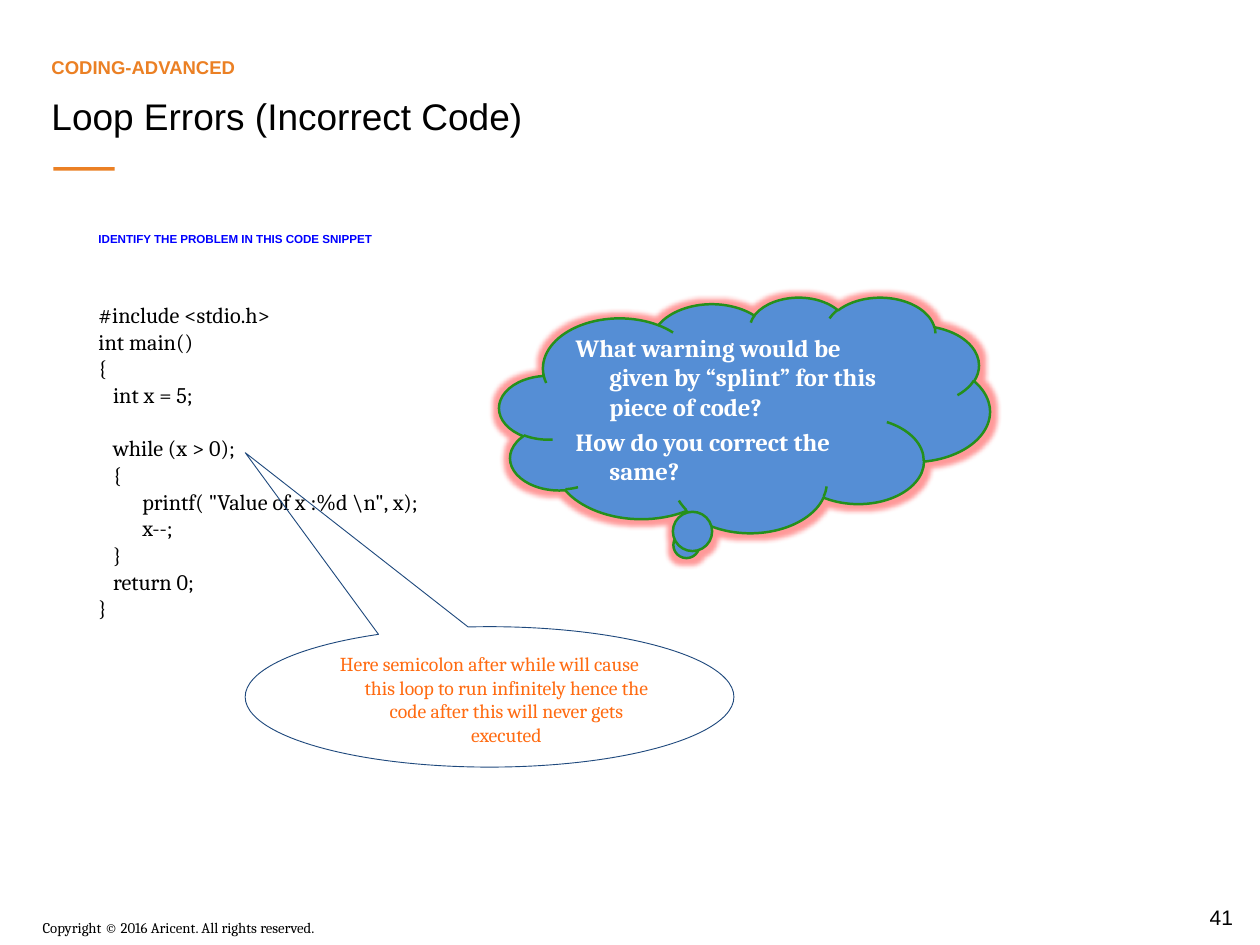
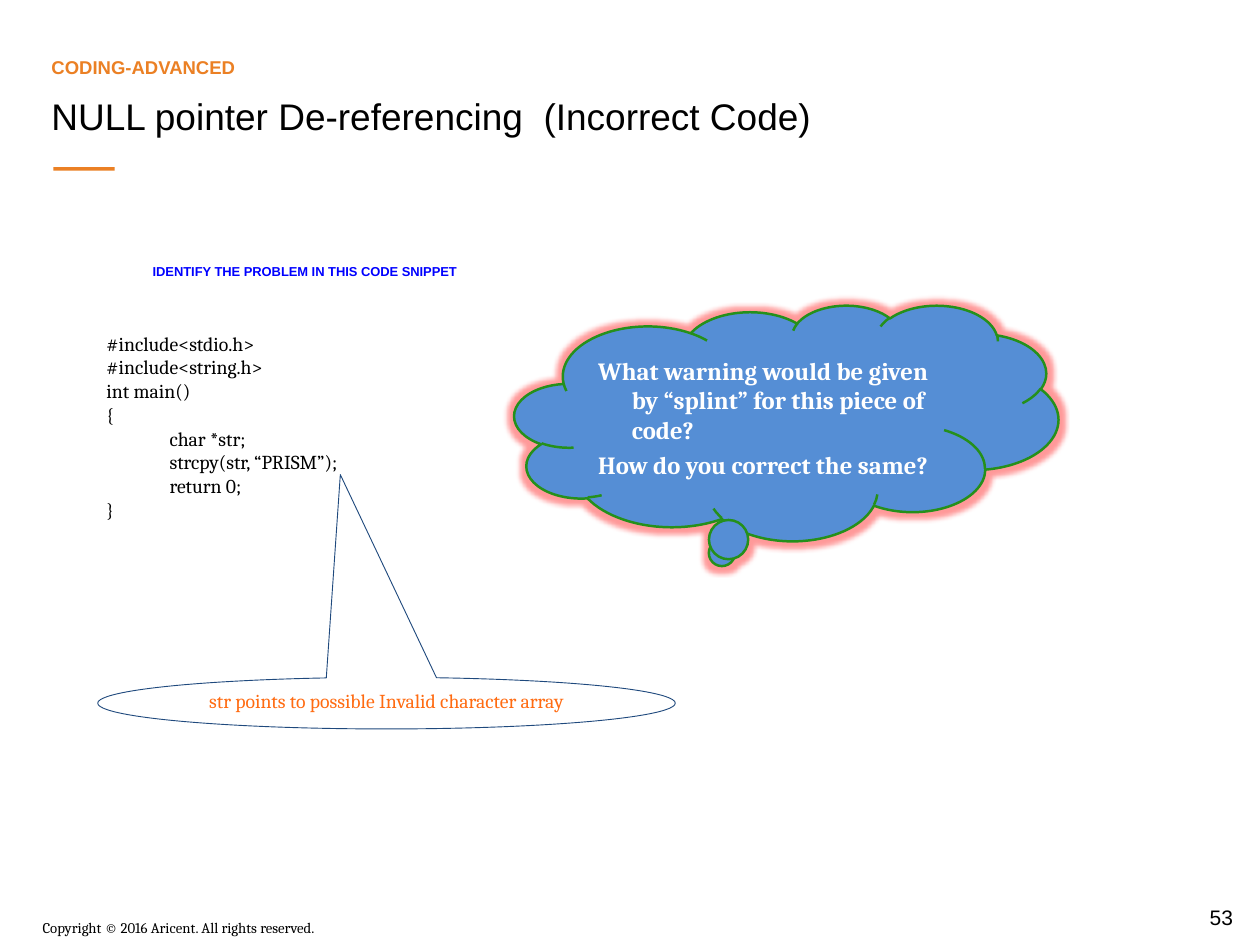
from dataclasses import dataclass

from lxml.etree import SubElement
from pptx import Presentation
from pptx.dml.color import RGBColor as Rgb
from pptx.enum.shapes import MSO_SHAPE as Kind
from pptx.enum.text import MSO_ANCHOR as Anchor, PP_ALIGN as Align
from pptx.oxml.ns import qn
from pptx.util import Emu, Inches, Pt

WIDE, HIGH = Inches(14.18), Inches(10.63)
HANG = Inches(0.38)
TAB = Inches(0.71)
HUES = {
    "black": "000000",
    "white": "FFFFFF",
    "brand": "EB8024",
    "ask": "0000FF",
    "note": "FF6B11",
    "edge": "1F497D",
    "cloud": "558ED5",
    "rim": "25901B",
    "glow": "FF0000",
}


@dataclass(frozen=True)
class Box:
    """Left, top, width and height in percent of the slide."""
    x: float
    y: float
    w: float
    h: float

    def place(self) -> tuple[Emu, Emu, Emu, Emu]:
        return (Emu(int(WIDE * self.x / 100)), Emu(int(HIGH * self.y / 100)),
                Emu(int(WIDE * self.w / 100)), Emu(int(HIGH * self.h / 100)))


@dataclass(frozen=True)
class Style:
    size: float
    hue: str = "black"
    face: str = "Cambria"
    bold: bool = False
    align: Align = Align.LEFT
    anchor: Anchor = Anchor.TOP
    gap: float = 0
    hang: bool = False
    tabs: bool = False


@dataclass(frozen=True)
class Bubble:
    kind: Kind
    box: Box
    tip: tuple[float, float]
    lines: list[str]
    style: Style
    edge: str
    width: float
    fill: str = ""
    glow: bool = False


@dataclass(frozen=True)
class Page:
    number: str
    title: str
    ask: Box
    ask_size: float
    code: Box
    code_size: float
    source: str
    note: Box
    note_tip: tuple[float, float]
    note_text: str
    cloud: Box


KICKER = Style(15, "brand", "Arial", True, anchor=Anchor.BOTTOM)
TITLE = Style(30, face="Arial")
NUMBER = Style(17, face="Arial", align=Align.CENTER, anchor=Anchor.MIDDLE)
FOOTER = Style(12)
NOTE = Style(16, "note", align=Align.CENTER, hang=True)
CLOUD = Style(20, "white", bold=True, anchor=Anchor.MIDDLE, gap=4, hang=True)
WARNING = ["What warning would be given by “splint” for this piece of code?",
           "How do you correct the same?"]

PAGES = [
    Page("41", "Loop Errors (Incorrect Code)",
         Box(7.12, 20.98, 55.36, 5.46), 9.4,
         Box(7.12, 31.42, 31.73, 34.81), 18,
         r"""#include <stdio.h>
int main()
{
   int x = 5;

   while (x > 0);
   {
         printf( "Value of x :%d \n", x);
         x--;
   }
   return 0;
}""",
         Box(19.46, 66.32, 38.79, 14.86), (-0.5, -1.74),
         "Here semicolon after while will cause this loop to run infinitely "
         "hence the code after this will never gets executed",
         Box(39.63, 31.42, 38.93, 24.93)),
    Page("53", "NULL pointer De-referencing  (Incorrect Code)",
         Box(11.42, 24.46, 59.59, 5.55), 10.5,
         Box(7.76, 34.62, 55.85, 24.84), 16,
         """#include<stdio.h>
#include<string.h>
int main()
{
\tchar *str;
\tstrcpy(str, “PRISM”);
\treturn 0;
}""",
         Box(7.76, 71.68, 45.84, 5.46), (-0.08, -4.43),
         "str points to possible Invalid character array",
         Box(40.83, 32.27, 43.16, 24.93)),
]


def tint(name: str) -> Rgb:
    return Rgb.from_string(HUES[name])


def write(frame, lines: list[str], style: Style) -> None:
    frame.word_wrap = True
    frame.vertical_anchor = style.anchor
    gap = 0.0
    first = True
    for line in lines:
        if not line:
            gap = style.size * 1.2
            continue
        para = frame.paragraphs[0] if first else frame.add_paragraph()
        para.text = line
        para.alignment = style.align
        para.space_before = Pt(gap)
        props = para._p.get_or_add_pPr()
        if style.hang:
            props.set("marL", str(HANG))
            props.set("indent", str(-HANG))
        if style.tabs:
            stops = SubElement(props, qn("a:tabLst"))
            SubElement(stops, qn("a:tab"), pos=str(TAB), algn="l")
        font = para.font
        font.size, font.name, font.bold = Pt(style.size), style.face, style.bold
        font.color.rgb = tint(style.hue)
        gap, first = style.gap, False


def label(slide, box: Box, lines: list[str], style: Style) -> None:
    write(slide.shapes.add_textbox(*box.place()).text_frame, lines, style)


def bubble(slide, item: Bubble) -> None:
    shape = slide.shapes.add_shape(item.kind, *item.box.place())
    shape.shadow.inherit = False
    for index, value in enumerate(item.tip):
        shape.adjustments[index] = value
    if item.fill:
        shape.fill.solid()
        shape.fill.fore_color.rgb = tint(item.fill)
    else:
        shape.fill.background()
    shape.line.color.rgb = tint(item.edge)
    shape.line.width = Pt(item.width)
    if item.glow:
        effects = shape._element.spPr.find(qn("a:effectLst"))
        halo = SubElement(effects, qn("a:glow"), rad=str(Pt(8)))
        hue = SubElement(halo, qn("a:srgbClr"), val=HUES["glow"])
        SubElement(hue, qn("a:alpha"), val="40000")
    write(shape.text_frame, item.lines, item.style)


def frame(slide, page: Page) -> None:
    bar = slide.shapes.add_shape(Kind.RECTANGLE,
                                 *Box(4.23, 17.69, 4.87, 0.38).place())
    bar.shadow.inherit = False
    bar.fill.solid()
    bar.fill.fore_color.rgb = tint("brand")
    bar.line.fill.background()
    label(slide, Box(93.86, 95.2, 6.14, 3.67), [page.number], NUMBER)
    label(slide, Box(2.68, 96.71, 50, 2.82),
          ["Copyright © 2016 Aricent. All rights reserved."], FOOTER)
    label(slide, Box(3.39, 2.92, 78.49, 5.83), ["CODING-ADVANCED"], KICKER)
    label(slide, Box(3.39, 9.41, 78.49, 8), [page.title], TITLE)


def build(slide, page: Page) -> None:
    frame(slide, page)
    label(slide, page.ask, ["IDENTIFY THE PROBLEM IN THIS CODE SNIPPET"],
          Style(page.ask_size, "ask", "Arial", True, anchor=Anchor.BOTTOM))
    label(slide, page.code, page.source.split("\n"),
          Style(page.code_size, tabs=True))
    bubble(slide, Bubble(Kind.OVAL_CALLOUT, page.note, page.note_tip,
                         [page.note_text], NOTE, "edge", 0.75))
    bubble(slide, Bubble(Kind.CLOUD_CALLOUT, page.cloud, (-0.12, 0.56),
                         WARNING, CLOUD, "rim", 2, "cloud", True))


def main() -> None:
    deck = Presentation()
    deck.slide_width, deck.slide_height = WIDE, HIGH
    for page in PAGES:
        build(deck.slides.add_slide(deck.slide_layouts[6]), page)
    deck.save("out.pptx")


if __name__ == "__main__":
    main()
